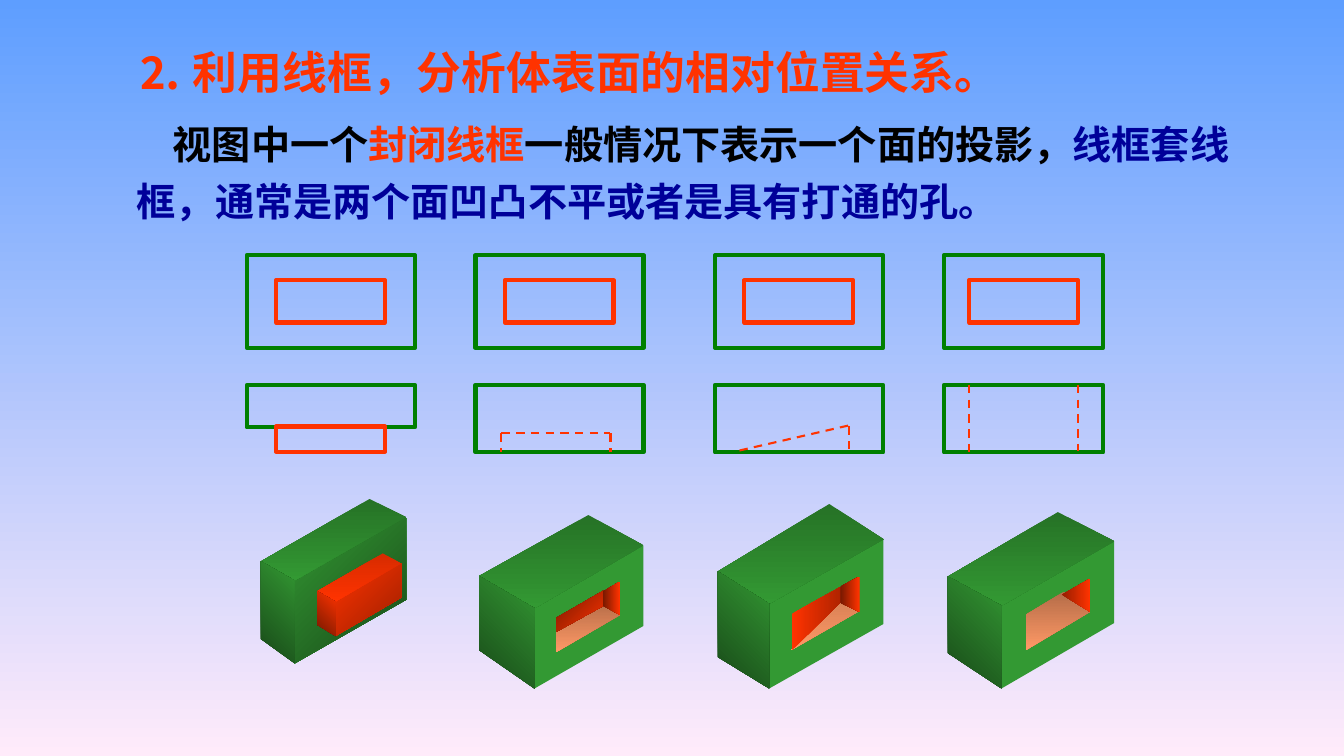
"""Build the slide on reading surface positions from closed line frames."""
from dataclasses import dataclass
from typing import NamedTuple

from lxml import etree
from pptx import Presentation
from pptx.dml.color import RGBColor
from pptx.enum.dml import MSO_LINE
from pptx.enum.shapes import MSO_CONNECTOR, MSO_SHAPE
from pptx.enum.text import MSO_ANCHOR, MSO_AUTO_SIZE, PP_ALIGN
from pptx.oxml.ns import qn
from pptx.util import Pt

DASH = MSO_LINE.DASH
STRAIGHT = MSO_CONNECTOR.STRAIGHT
RECTANGLE = MSO_SHAPE.RECTANGLE
MIDDLE = MSO_ANCHOR.MIDDLE
GROW = MSO_AUTO_SIZE.SHAPE_TO_FIT_TEXT
LEFT = PP_ALIGN.LEFT
TITLE_ONLY = 5


@dataclass(frozen=True)
class Theme:
    """Colours, type sizes and line widths."""
    font: str = "Noto Sans CJK SC"
    title_size: float = 32
    body_size: float = 28
    black: str = "000000"
    navy: str = "000099"
    red: str = "FF3300"
    outline: str = "008000"
    green: str = "339933"
    dark_green: str = "184718"
    dark_red: str = "761800"
    sand: str = "FF9966"
    sky: str = "5E9EFF"
    blush: str = "FFEBFA"
    frame_width: float = 3
    dash_width: float = 1.5


THEME = Theme()


class Point(NamedTuple):
    """A position on the slide."""
    x: float
    y: float


class Frame(NamedTuple):
    """A rectangular line frame."""
    left: float
    top: float
    width: float
    height: float
    color: str


class Shade(NamedTuple):
    """A linear gradient with a clockwise angle."""
    start: str
    end: str
    angle: float


class Face(NamedTuple):
    """A filled polygon."""
    shade: Shade
    points: tuple


@dataclass(frozen=True)
class Block:
    """A box seen from a corner, with its left, near and right edges."""
    back: tuple
    left: tuple
    near: tuple
    right: tuple
    front_shade: Shade
    top_shade: Shade
    side_shade: Shade

    def faces(self) -> list[Face]:
        """Return the front, top and side faces."""
        left_top, left_bottom, near_top, near_bottom, right_top, right_bottom = (
            Point(x, y) for x, *heights in (self.left, self.near, self.right) for y in heights)
        return [
            Face(self.front_shade, (near_top, near_bottom, right_bottom, right_top)),
            Face(self.top_shade, (left_top, self.back, right_top, near_top)),
            Face(self.side_shade, (left_top, near_top, near_bottom, left_bottom)),
        ]


PLAIN = Shade(THEME.green, THEME.green, 0)
GREEN_TOP = Shade("267226", THEME.green, 90)
GREEN_SIDE = Shade(THEME.dark_green, THEME.green, 315)
RED_RIGHT = Shade(THEME.dark_red, THEME.red, 0)

COLUMNS = ((176.4, 120.2, 20.9), (339.8, 120.2, 20.9), (511, 120.2, 20.9), (674.6, 113.8, 18))
PLAN_TOP, FRONT_TOP = 275, 182.2
BOSS_WIDTH = 77.8

DASHES = (
    (Point(358.4, 309.6), Point(436.3, 309.6)),
    (Point(436.3, 309.6), Point(436.3, 323.2)),
    (Point(358, 309.6), Point(358, 323.2)),
    (Point(528.5, 321.8), Point(607, 303.8)),
    (Point(607, 304.5), Point(607, 322.5)),
    (Point(692.6, 275), Point(692.6, 323.2)),
    (Point(770.4, 275), Point(770.4, 322.5)),
)

BLOCKS = (
    Block((264.2, 356.4), (186.5, 401, 456.5), (210.6, 414.7, 473.8), (290.2, 369.4, 428.4),
          Shade(THEME.green, THEME.dark_green, 45), GREEN_TOP, GREEN_SIDE),
    Block((273.6, 395.3), (226.8, 422.3, 446.4), (239.8, 429.8, 454.3), (286.6, 402.5, 427),
          Shade(THEME.red, "9B1F00", 45), Shade("D72B00", THEME.red, 90),
          Shade(THEME.dark_red, THEME.red, 315)),
    Block((420.5, 367.9), (342.4, 411.5, 464.4), (382, 434.5, 491.8), (459.8, 389.5, 447.1),
          PLAIN, GREEN_TOP, GREEN_SIDE),
    Block((592.6, 360), (513, 408.2, 469.4), (549.7, 431.3, 491.8), (631.4, 385.2, 445.7),
          PLAIN, GREEN_TOP, GREEN_SIDE),
    Block((756, 365.8), (677.5, 411.8, 466.6), (715.7, 432.7, 491.8), (796.3, 386.6, 445),
          PLAIN, GREEN_TOP, GREEN_SIDE),
)

HOLE_FACES = (
    Face(Shade("B96F4A", THEME.sand, 90),
         ((397.4, 451.4), (432, 431.3), (443.3, 439.2), (397.4, 465.8))),
    Face(Shade(THEME.dark_red, THEME.red, 45),
         ((397.4, 441.4), (431.3, 421.9), (431.3, 432.7), (397.4, 451.4))),
    Face(RED_RIGHT, ((430.9, 422.6), (443, 415.4), (443, 439.2), (430.9, 432.7))),
    Face(Shade("D78156", THEME.sand, 90), ((565.4, 464.4), (601.9, 428.4), (614.2, 436.5))),
    Face(Shade(THEME.red, "AF2300", 0),
         ((565.9, 438.5), (601.2, 419), (601.2, 429.8), (565.9, 464.4))),
    Face(RED_RIGHT, ((600.5, 419), (614.2, 411.8), (614.2, 437), (600.5, 430.6))),
    Face(Shade("B46C48", THEME.sand, 90),
         ((733, 439.2), (733, 464.4), (779, 437), (760.3, 422.6))),
    Face(Shade("961E00", THEME.red, 0), ((758.9, 424.8), (779, 413.3), (779, 437))),
)


def apply_shade(fill, shade: Shade) -> None:
    """Fill with one colour or with a two-stop gradient."""
    if shade.start == shade.end:
        fill.solid()
        fill.fore_color.rgb = RGBColor.from_string(shade.start)
        return
    fill.gradient()
    fill.gradient_angle = (360 - shade.angle) % 360
    for stop, color in zip(fill.gradient_stops, (shade.start, shade.end)):
        stop.color.rgb = RGBColor.from_string(color)


def write_text(shape, runs, *, size: float, spacing: float, indent: float = 0) -> None:
    """Write coloured bold runs as one left-aligned paragraph."""
    frame = shape.text_frame
    frame.word_wrap = True
    frame.auto_size = GROW
    frame.vertical_anchor = MIDDLE
    frame.margin_left = frame.margin_right = Pt(7.2)
    frame.margin_top = frame.margin_bottom = Pt(3.6)
    paragraph = frame.paragraphs[0]
    paragraph.alignment = LEFT
    paragraph.line_spacing = Pt(spacing)
    paragraph.space_before = Pt(0)
    paragraph._p.get_or_add_pPr().set("indent", str(Pt(indent)))
    for text, color in runs:
        run = paragraph.add_run()
        run.text = text
        run.font.size = Pt(size)
        run.font.bold = True
        run.font.name = THEME.font
        run.font.color.rgb = RGBColor.from_string(color)
        etree.SubElement(run.font._element, qn("a:ea")).set("typeface", THEME.font)


def draw_frame(slide, frame: Frame) -> None:
    """Draw an unfilled rectangle."""
    shape = slide.shapes.add_shape(RECTANGLE, *(Pt(length) for length in frame[:4]))
    shape.shadow.inherit = False
    shape.fill.background()
    shape.line.color.rgb = RGBColor.from_string(frame.color)
    shape.line.width = Pt(THEME.frame_width)


def draw_dash(slide, start: Point, end: Point) -> None:
    """Draw a dashed hidden edge."""
    connector = slide.shapes.add_connector(STRAIGHT, *(Pt(length) for length in (*start, *end)))
    connector.line.color.rgb = RGBColor.from_string(THEME.red)
    connector.line.width = Pt(THEME.dash_width)
    connector.line.dash_style = DASH
    etree.SubElement(connector._element.spPr, qn("a:effectLst"))


def draw_face(slide, face: Face) -> None:
    """Draw one shaded polygon without an outline."""
    first, *rest = [(Pt(x), Pt(y)) for x, y in face.points]
    builder = slide.shapes.build_freeform(*first)
    builder.add_line_segments(rest, close=True)
    shape = builder.convert_to_shape()
    shape.shadow.inherit = False
    shape.line.fill.background()
    apply_shade(shape.fill, face.shade)


def view_frames() -> list[Frame]:
    """Return the frames of the front views and plan views."""
    frames = []
    for index, (left, width, inset) in enumerate(COLUMNS):
        plan_height = 30.2 if index == 0 else 48.2
        frames += [
            Frame(left, FRONT_TOP, width, 66.2, THEME.outline),
            Frame(left + inset, FRONT_TOP + 18, BOSS_WIDTH, 30.2, THEME.red),
            Frame(left, PLAN_TOP, width, plan_height, THEME.outline),
        ]
    left, _, inset = COLUMNS[0]
    return frames + [Frame(left + inset, PLAN_TOP + 29.6, BOSS_WIDTH, 18, THEME.red)]


def main() -> None:
    """Build and save the presentation."""
    presentation = Presentation()
    presentation.slide_width, presentation.slide_height = Pt(960.5), Pt(540)
    slide = presentation.slides.add_slide(presentation.slide_layouts[TITLE_ONLY])
    apply_shade(slide.background.fill, Shade(THEME.sky, THEME.blush, 90))

    title = slide.shapes.title
    title.left, title.top, title.width, title.height = Pt(91.4), Pt(28), Pt(629.3), Pt(46)
    write_text(title, [("⒉ 利用线框，分析体表面的相对位置关系。", THEME.red)],
               size=THEME.title_size, spacing=38.5)
    body = slide.shapes.add_textbox(Pt(90.7), Pt(75.5), Pt(795.6), Pt(87.8))
    write_text(body, [
        ("视图中一个", THEME.black),
        ("封闭线框", THEME.red),
        ("一般情况下表示一个面的投影，", THEME.black),
        ("线框套线框，通常是两个面凹凸不平或者是具有打通的孔。", THEME.navy),
    ], size=THEME.body_size, spacing=40.7, indent=25.7)

    for frame in view_frames():
        draw_frame(slide, frame)
    for start, end in DASHES:
        draw_dash(slide, start, end)
    for face in [face for block in BLOCKS for face in block.faces()] + list(HOLE_FACES):
        draw_face(slide, face)
    presentation.save("out.pptx")


if __name__ == "__main__":
    main()
